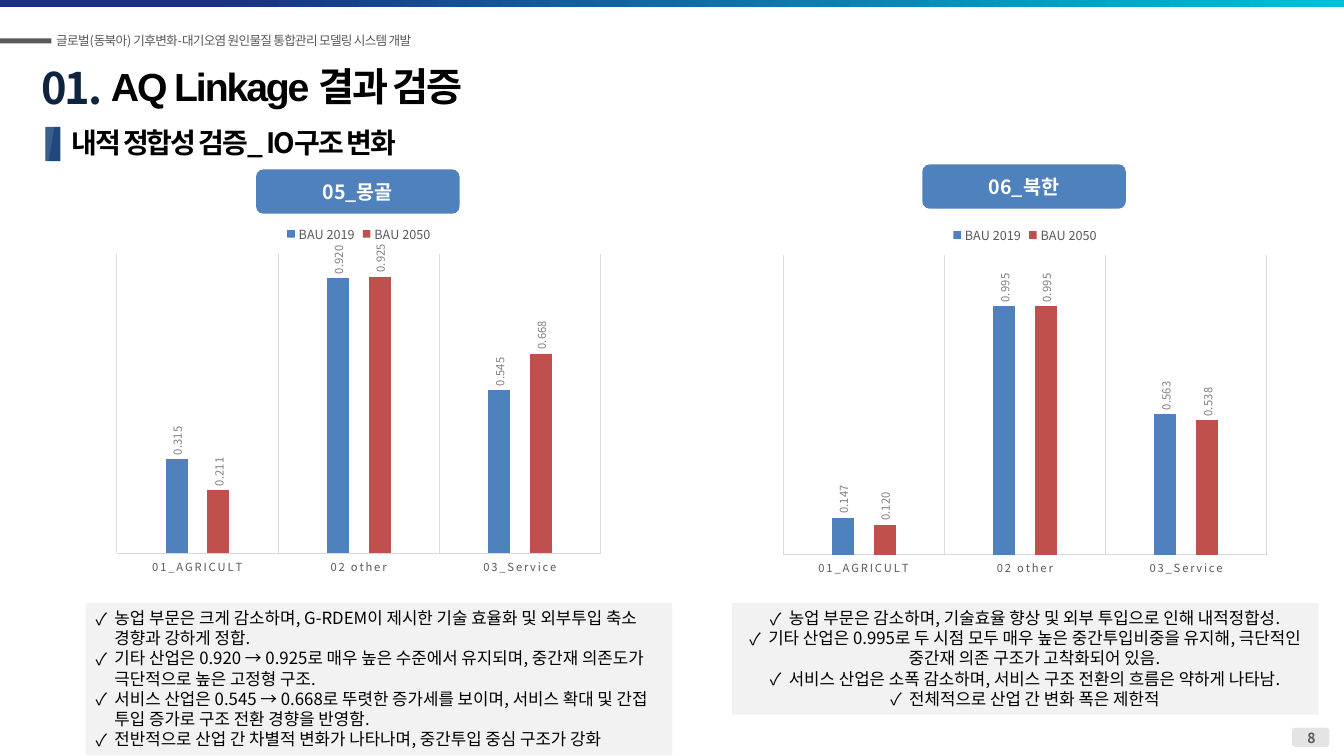
"""Builds the slide on input-output structure checks for two regions."""
from lxml.etree import SubElement
from pptx import Presentation
from pptx.chart.data import CategoryChartData
from pptx.dml.color import RGBColor
from pptx.enum.chart import XL_CHART_TYPE, XL_LABEL_POSITION, XL_LEGEND_POSITION, XL_TICK_MARK
from pptx.enum.shapes import MSO_SHAPE
from pptx.enum.text import MSO_ANCHOR, MSO_AUTO_SIZE, PP_ALIGN
from pptx.oxml.ns import qn
from pptx.util import Pt

SANS = "Noto Sans CJK KR"
BLACK = RGBColor(0, 0, 0)
WHITE = RGBColor(255, 255, 255)
NAVY = RGBColor(0x0F, 0x24, 0x3E)
FLAG_BLUE = RGBColor(0x1F, 0x49, 0x7D)
BLUE = RGBColor(0x4F, 0x81, 0xBD)
RED = RGBColor(0xC0, 0x50, 0x4D)
DARK_GRAY = RGBColor(0x59, 0x59, 0x59)
LABEL_GRAY = RGBColor(0x80, 0x80, 0x80)
LINE_GRAY = RGBColor(0xD9, 0xD9, 0xD9)
BADGE_GRAY = RGBColor(0xE4, 0xE4, 0xE4)
PANEL_GRAY = RGBColor(0xF2, 0xF2, 0xF2)
BAND_START = RGBColor(0x19, 0x32, 0x82)
BAND_END = RGBColor(0x00, 0xC0, 0xDA)

PROJECT = "글로벌(동북아) 기후변화-대기오염 원인물질 통합관리 모델링 시스템 개발"
SECTION = "01."
TITLE = "AQ Linkage 결과 검증"
SUBTITLE = "내적 정합성 검증_ IO구조 변화"
PAGE = "8"
SECTORS = ["01_AGRICULT", "02 other", "03_Service"]
SCENARIO_COLORS = {"BAU 2019": BLUE, "BAU 2050": RED}
REGIONS = [
    {
        "name": "05_몽골", "left": 76.3, "badge_top": 121, "chart_top": 152.6,
        "panel_left": 61.2, "panel_height": 108.7, "axis_max": 1.0, "align": PP_ALIGN.LEFT,
        "shares": [(0.315, 0.920, 0.545), (0.211, 0.925, 0.668)],
        "findings": [
            "농업 부문은 크게 감소하며, G-RDEM이 제시한 기술 효율화 및 외부투입 축소 경향과 강하게 정합.",
            "기타 산업은 0.920 → 0.925로 매우 높은 수준에서 유지되며, 중간재 의존도가 극단적으로 높은 고정형 구조.",
            "서비스 산업은 0.545 → 0.668로 뚜렷한 증가세를 보이며, 서비스 확대 및 간접 투입 증가로 구조 전환 경향을 반영함.",
            "전반적으로 산업 간 차별적 변화가 나타나며, 중간투입 중심 구조가 강화",
        ],
    },
    {
        "name": "06_북한", "left": 552.2, "badge_top": 117.4, "chart_top": 153.4,
        "panel_left": 522.7, "panel_height": 79.9, "axis_max": 1.2, "align": PP_ALIGN.CENTER,
        "shares": [(0.147, 0.995, 0.563), (0.120, 0.995, 0.538)],
        "findings": [
            "농업 부문은 감소하며, 기술효율 향상 및 외부 투입으로 인해 내적정합성.",
            "기타 산업은 0.995로 두 시점 모두 매우 높은 중간투입비중을 유지해, 극단적인 중간재 의존 구조가 고착화되어 있음.",
            "서비스 산업은 소폭 감소하며, 서비스 구조 전환의 흐름은 약하게 나타남.",
            "전체적으로 산업 간 변화 폭은 제한적",
        ],
    },
]

deck = Presentation()
deck.slide_width, deck.slide_height = Pt(960), Pt(540)
slide = deck.slides.add_slide(deck.slide_layouts[5])


def style(font, size, color, bold=False, face=SANS):
    font.size, font.bold, font.name = Pt(size), bold, face
    font.color.rgb = color


def write(shape, lines, size, color, bold=False, face=SANS, align=PP_ALIGN.LEFT,
          anchor=MSO_ANCHOR.TOP, wrap=True, spacing=0, bullet=None):
    frame = shape.text_frame
    frame.word_wrap, frame.vertical_anchor = wrap, anchor
    frame.auto_size = MSO_AUTO_SIZE.NONE
    frame.text = "\n".join(lines)
    for paragraph in frame.paragraphs:
        paragraph.alignment = align
        paragraph.line_spacing = Pt(round(size * 1.2, 1))
        if bullet:
            properties = paragraph._p.get_or_add_pPr()
            properties.set("marL", str(Pt(13.5)))
            properties.set("indent", str(-Pt(13.5)))
            SubElement(properties, qn("a:buFont"), typeface=SANS)
            SubElement(properties, qn("a:buChar"), char=bullet)
        for run in paragraph.runs:
            style(run.font, size, color, bold, face)
            run_properties = run._r.get_or_add_rPr()
            SubElement(run_properties, qn("a:ea"), typeface=SANS)
            if spacing:
                run_properties.set("spc", str(int(spacing * 100)))


def add_text(box, lines, **text_format):
    write(slide.shapes.add_textbox(*map(Pt, box)), lines, **text_format)


def add_block(box, color=None, kind=MSO_SHAPE.RECTANGLE):
    block = slide.shapes.add_shape(kind, *map(Pt, box))
    block.shadow.inherit = False
    block.line.fill.background()
    if color is not None:
        block.fill.solid()
        block.fill.fore_color.rgb = color
    return block


def add_share_chart(region):
    shares = CategoryChartData()
    shares.categories = SECTORS
    for scenario, values in zip(SCENARIO_COLORS, region["shares"]):
        shares.add_series(scenario, values)
    chart = slide.shapes.add_chart(
        XL_CHART_TYPE.COLUMN_CLUSTERED, Pt(region["left"]), Pt(region["chart_top"]),
        Pt(360), Pt(264), shares).chart
    style(chart.font, 10, BLACK)
    chart.has_title = False
    chart.has_legend = True
    chart.legend.position = XL_LEGEND_POSITION.TOP
    chart.legend.include_in_layout = False
    style(chart.legend.font, 9, DARK_GRAY)

    sectors, share_axis = chart.category_axis, chart.value_axis
    sectors.major_tick_mark = XL_TICK_MARK.NONE
    sectors.has_major_gridlines = True
    for line in (sectors.format.line, sectors.major_gridlines.format.line):
        line.color.rgb, line.width = LINE_GRAY, Pt(0.75)
    style(sectors.tick_labels.font, 8, DARK_GRAY)
    sectors._element.find(".//" + qn("a:defRPr")).set("spc", "120")
    share_axis.has_major_gridlines = False
    share_axis.minimum_scale, share_axis.maximum_scale = 0, region["axis_max"]
    share_axis.visible = False

    plot = chart.plots[0]
    plot.gap_width, plot.overlap, plot.vary_by_categories = 444, -90, False
    for series, color in zip(plot.series, SCENARIO_COLORS.values()):
        series.format.fill.solid()
        series.format.fill.fore_color.rgb = color
        labels = series.data_labels
        labels.show_value, labels.position = True, XL_LABEL_POSITION.OUTSIDE_END
        labels.number_format, labels.number_format_is_linked = "0.000", False
        style(labels.font, 8, LABEL_GRAY)
        labels._element.find(".//" + qn("a:bodyPr")).set("rot", "-5400000")

    plot_area = chart._chartSpace.chart.plotArea
    layout = plot_area.find(qn("c:layout"))
    if layout is None:
        layout = SubElement(plot_area, qn("c:layout"))
        plot_area.insert(0, layout)
    manual = SubElement(layout, qn("c:manualLayout"))
    for tag, value in (("layoutTarget", "inner"), ("xMode", "edge"), ("yMode", "edge"),
                       ("x", "0.02"), ("y", "0.11"), ("w", "0.96"), ("h", "0.81")):
        SubElement(manual, qn("c:" + tag), val=value)


band = add_block((0, 0, 960, 5))
band.fill.gradient()
band.fill.gradient_angle = 0
for stop, position, color in zip(band.fill.gradient_stops, (0.16, 1), (BAND_START, BAND_END)):
    stop.position, stop.color.rgb = position, color
add_block((923, 519.8, 26.6, 13.7), BADGE_GRAY, MSO_SHAPE.ROUNDED_RECTANGLE)
add_block((0, 27.4, 36.7, 3.6), DARK_GRAY)
add_text((33.1, 20.2, 296, 18), [PROJECT], size=9, color=DARK_GRAY, wrap=False, spacing=-0.5)
add_text((908.6, 517.7, 56.2, 19.4), [PAGE], size=10, color=DARK_GRAY, bold=True,
         align=PP_ALIGN.CENTER)

add_text((22.3, 39.9, 55.4, 44.6), [SECTION], size=31, color=NAVY, bold=True,
         wrap=False, spacing=-1.3)
title = slide.shapes.title
title.left, title.top, title.width, title.height = map(Pt, (72, 41, 587.5, 75))
write(title, [TITLE], size=28, color=BLACK, bold=True, face="Arial", spacing=-1.5)

add_block((32.4, 90.7, 10.8, 24.5), FLAG_BLUE)
outline = slide.shapes.build_freeform(Pt(32.4), Pt(90.7))
outline.add_line_segments([(Pt(x), Pt(y)) for x, y in
                           ((38.9, 90.7), (34.6, 115.2), (32.4, 115.2))])
flag_shine = outline.convert_to_shape()
flag_shine.shadow.inherit = False
flag_shine.line.fill.background()
flag_shine.fill.solid()
flag_shine.fill.fore_color.rgb = WHITE
SubElement(flag_shine._element.spPr.find(".//" + qn("a:srgbClr")), qn("a:alpha"), val="12000")
add_text((43.9, 85.7, 766.8, 31.7), [SUBTITLE], size=20, color=BLACK, bold=True,
         anchor=MSO_ANCHOR.MIDDLE, spacing=-1.5)

for region in REGIONS:
    panel = add_block((region["panel_left"], 430.6, 419, region["panel_height"]), PANEL_GRAY)
    write(panel, region["findings"], size=12, color=BLACK, align=region["align"], bullet="✓")
    badge = add_block((region["left"] + 106.6, region["badge_top"], 145.4, 31.7), BLUE,
                      MSO_SHAPE.ROUNDED_RECTANGLE)
    write(badge, [region["name"]], size=14, color=WHITE, bold=True,
          align=PP_ALIGN.CENTER, anchor=MSO_ANCHOR.MIDDLE)
    add_share_chart(region)

deck.save("out.pptx")
